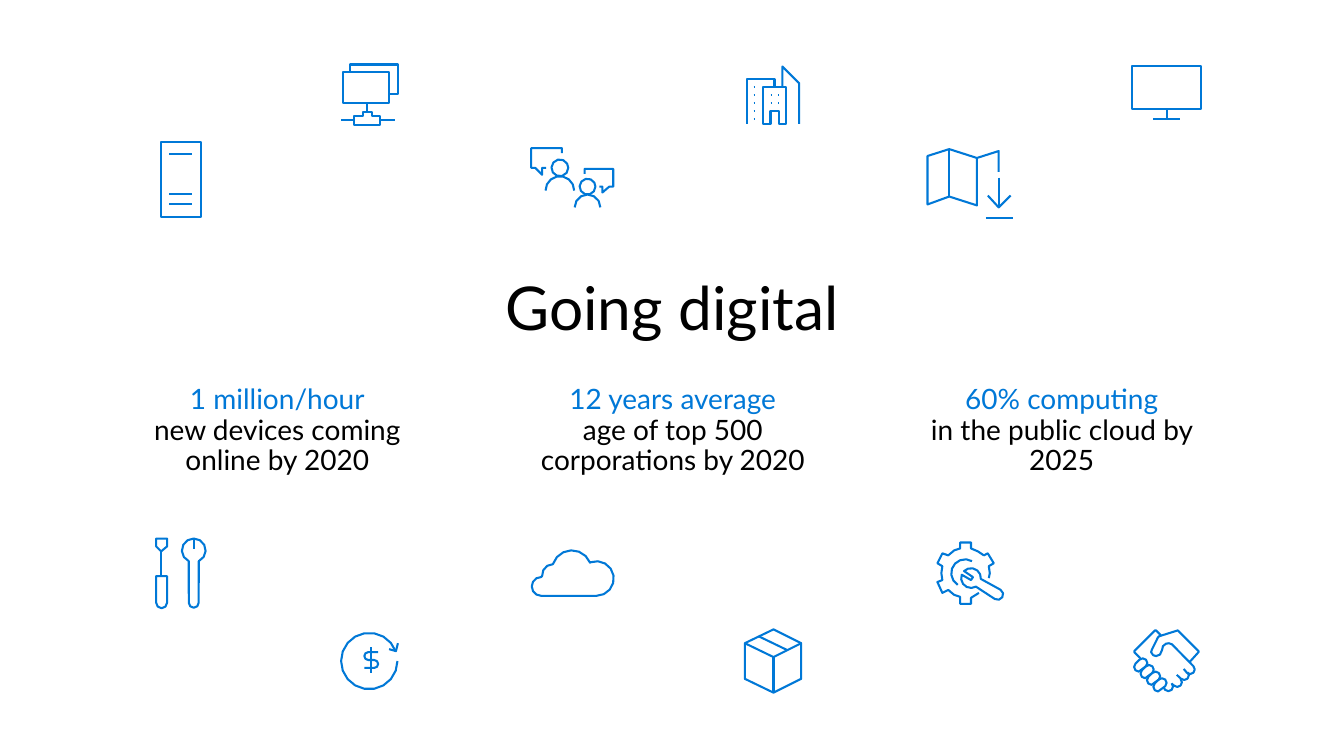
from dataclasses import dataclass
from math import ceil, cos, radians, sin, sqrt

from pptx import Presentation
from pptx.dml.color import RGBColor
from pptx.enum.text import MSO_ANCHOR, MSO_AUTO_SIZE, PP_ALIGN
from pptx.util import Cm, Pt


@dataclass(frozen=True)
class Theme:
    """Colours, font and sizes of the slide."""
    accent: RGBColor = RGBColor(0x00, 0x78, 0xD7)
    text: RGBColor = RGBColor(0x00, 0x00, 0x00)
    font: str = "Lato"
    title: float = 44
    body: float = 20.4
    line: float = 1.5


THEME = Theme()
UNITS_PER_CM = 100 / 2.54
COLUMNS = [4.65, 9.49, 14.72, 19.88, 24.93, 29.99]
ROWS = {"top": 2.42, "upper": 4.62, "lower": 14.73, "bottom": 16.99}
STATS = [
    (3.2, 7.85, "1 million/hour", "new devices coming online by 2020"),
    (13.11, 8.36, "12 years average", "age of top 500 corporations by 2020"),
    (23.5, 7.57, "60% computing", "in the public cloud by 2025"),
]


def arc(cx, cy, r, start, end):
    """Return points along an arc, with angles in degrees clockwise from the right."""
    n = ceil(abs(end - start) * sqrt(r) / 110)
    angles = [radians(start + (end - start) * i / n) for i in range(n + 1)]
    return [(cx + r * cos(a), cy + r * sin(a)) for a in angles]


def loop(points):
    """Return the points as a closed outline."""
    return points + points[:1]


def rect(x1, y1, x2, y2):
    """Return the closed outline of a rectangle."""
    return loop([(x1, y1), (x2, y1), (x2, y2), (x1, y2)])


def server():
    """Return the strokes of a server."""
    return [rect(-20, -38, 20, 38)] + [[(-12, y), (11, y)] for y in (-26, 14, 25)]


def network():
    """Return the strokes of two networked screens."""
    hub = [(11, 31), (11, 22), (3, 22), (3, 18), (-6, 18), (-6, 22), (-15, 22), (-15, 31)]
    return [rect(-27, -22, 20, 9), loop(hub),
            [(20, 0), (29, 0), (29, -30), (-19, -30), (-19, -22)],
            [(-15, 26), (-29, 26)], [(11, 26), (26, 26)], [(-2, 18), (-2, 9)]]


def people():
    """Return the strokes of two people talking."""
    return [[(12, -6), (12, -11), (41, -11), (41, 7), (37, 7), (30, 13), (30, 7), (27, 7)],
            [(-11, -27), (-11, -32), (-42, -32), (-42, -12), (-38, -12), (-31, -5),
             (-31, -12), (-27, -12)],
            loop(arc(15, 7, 8, 0, 330)), arc(15, 28, 13, 180, 360),
            loop(arc(-13, -12, 8.5, 0, 330)), arc(-13, 11, 14.5, 180, 360)]


def buildings():
    """Return the strokes of three office buildings."""
    front = [(13, -7), (13, 30), (6, 30), (6, 17), (-3, 17), (-3, 30), (-11, 30), (-11, -7)]
    windows = [(-20, y) for y in range(-7, 26, 8)] + [(x, y) for x in (-3, 5) for y in (1, 9)]
    return [loop(front), [(1, -7), (1, -15), (-27, -15), (-27, 30)],
            [(26, 30), (26, -11), (9, -28), (9, -7)],
            *[[(x, y), (x + 1, y)] for x, y in windows]]


def folded_map():
    """Return the strokes of a map with a download arrow."""
    sheet = [(29, -8), (29, -29), (7, -22), (-21, -31), (-43, -24), (-43, 25), (-21, 17),
             (7, 26), (7, -22)]
    return [sheet, [(-21, -31), (-21, 17)], [(29, -2), (29, 28)],
            [(18, 16), (29, 28), (41, 16)], [(16, 39), (43, 39)]]


def monitor():
    """Return the strokes of a monitor."""
    return [rect(-35, -28, 34, 15), [(0, 15), (0, 25)], [(-14, 25), (13, 25)]]


def tools():
    """Return the strokes of a screwdriver and a wrench."""
    wrench = arc(13, -23, 12, 115, 425) + arc(13, 30, 5, 0, 180)
    handle = [(-25, 3)] + arc(-19.5, 30, 5.5, 180, 0) + [(-14, 3)]
    blade = [(-14, -35), (-25, -35), (-25, -27), (-20, -22), (-14, -27)]
    return [loop(wrench), [(13, -35), (13, -24)], loop(handle), loop(blade),
            [(-20, -22), (-20, 3)]]


def coin():
    """Return the strokes of a dollar sign in a circling arrow."""
    dollar = [(-5, 7)] + arc(5, 3, 4, 90, -90) + arc(-1, -5, 4, 90, 270) + [(9, -9)]
    return [arc(0, 0, 28.5, 0, 340), [(20, -12), (27, -10), (29, -18)], dollar,
            [(2, -14), (2, 12)]]


def cloud():
    """Return the stroke of a cloud."""
    return [loop(arc(-1, -3, 20, 198, 338) + arc(24, 5.5, 17.5, 250, 450)
                 + arc(-32, 13.5, 9.5, 90, 270) + arc(-20, 2, 11, 175, 270))]


def parcel():
    """Return the strokes of a box."""
    outline = [(28, -18), (0, -32), (-29, -18), (-29, 18), (0, 32), (28, 18)]
    return [loop(outline), [(28, -18), (0, -4), (-29, -18)], [(-15, -25), (14, -11)],
            [(0, -4), (0, 32)]]


def gear():
    """Return the strokes of a gear with a wrench."""
    teeth = [(9, 20), (1, 25), (1, 31), (-10, 31), (-10, 24), (-16, 22), (-22, 17),
             (-28, 20), (-33, 9), (-28, 7), (-29, 0), (-28, -7), (-33, -10), (-28, -20),
             (-22, -18), (-16, -23), (-10, -25), (-10, -31), (1, -31), (1, -25), (8, -22),
             (14, -18), (18, -20), (24, -10), (19, -7), (20, 0), (19, 5)]
    wrench = (arc(28, 21.5, 5.5, 122, -58) + arc(1, 5, 10, 5, -135) + [(3, 4), (1, 7)]
              + arc(1, 5, 10, 200, 60))
    return [teeth, arc(-5, 0, 14, 300, 122), loop(wrench)]


def handshake():
    """Return the strokes of two hands shaking."""
    cuff = [(-27, -3), (-33, -9), (-33, -10), (-12, -31), (-11, -31), (-6, -26)]
    fingers = [loop(arc(x, y, 4.7, -135, 45) + arc(x - 4, y + 4, 4.7, 45, 225)[1:])
               for x, y in [(-24.5 + 6.5 * i, 2 + 6.7 * i) for i in range(4)]]
    tips = [[start] + arc(x, y, 4.7, 135, -45)
            for start, x, y in [((10, 14), 17.5, 14.5), ((5, 23), 10.5, 21.5),
                                ((-3, 27), 1.5, 25.8)]]
    thumb = [(23, 1), (32, -9), (32, -10), (11, -31), (-8, -25), (-9, -24), (-15, -12),
             (-16, -9), (-14, -6), (-11, -5), (-7, -6.5), (-5, -11), (-4, -15), (-1, -17.5),
             (2, -18), (5, -17)]
    return [cuff, *fingers, *tips, thumb + arc(23.5, 8.5, 4.7, -45, 135) + [(17, 8)]]


def add_icon(s, cx, cy, strokes):
    """Draw the strokes as one outline centred on the given point."""
    paths = [[(Cm(x / UNITS_PER_CM), Cm(y / UNITS_PER_CM)) for x, y in stroke]
             for stroke in strokes]
    builder = s.shapes.build_freeform(*paths[0][0])
    for i, path in enumerate(paths):
        if i:
            builder.move_to(*path[0])
        closed = path[0] == path[-1]
        builder.add_line_segments(path[1:-1] if closed else path[1:], close=closed)
    sp = builder.convert_to_shape(Cm(cx), Cm(cy))
    sp.shadow.inherit = False
    sp.fill.background()
    sp.line.color.rgb = THEME.accent
    sp.line.width = Pt(THEME.line)


def add_icon_row(s, cy, columns, icons):
    """Place one row of icons on the given columns."""
    for cx, icon in zip(columns, icons):
        add_icon(s, cx, cy, icon())


def add_text(s, box, lines, size):
    """Add a centred text box with one coloured paragraph per line."""
    sp = s.shapes.add_textbox(*[Cm(v) for v in box])
    tf = sp.text_frame
    tf.word_wrap = True
    tf.margin_left = tf.margin_top = tf.margin_right = tf.margin_bottom = 0
    for i, (text, color) in enumerate(lines):
        p = tf.add_paragraph() if i else tf.paragraphs[0]
        p.alignment = PP_ALIGN.CENTER
        p.line_spacing = 0.9
        r = p.add_run()
        r.text = text
        r.font.name = THEME.font
        r.font.size = Pt(size)
        r.font.color.rgb = color
    return tf


def add_title(s, box):
    """Add the slide title in the middle of its box."""
    tf = add_text(s, box, [("Going digital", THEME.text)], THEME.title)
    tf.vertical_anchor = MSO_ANCHOR.MIDDLE


def add_stats(s, top, height):
    """Add the row of three figures."""
    for left, width, figure, detail in STATS:
        lines = [(figure, THEME.accent), (detail, THEME.text)]
        tf = add_text(s, (left, top, width, height), lines, THEME.body)
        tf.auto_size = MSO_AUTO_SIZE.SHAPE_TO_FIT_TEXT


def main():
    """Build and save the slide."""
    prs = Presentation()
    prs.slide_width, prs.slide_height = Cm(34.54), Cm(19.43)
    s = prs.slides.add_slide(prs.slide_layouts[6])
    add_icon_row(s, ROWS["top"], COLUMNS[1::2], [network, buildings, monitor])
    add_icon_row(s, ROWS["upper"], COLUMNS[::2], [server, people, folded_map])
    add_title(s, (9.25, 6.53, 16.05, 2.95))
    add_stats(s, 9.91, 2.41)
    add_icon_row(s, ROWS["lower"], COLUMNS[::2], [tools, cloud, gear])
    add_icon_row(s, ROWS["bottom"], COLUMNS[1::2], [coin, parcel, handshake])
    prs.save("out.pptx")


if __name__ == "__main__":
    main()
